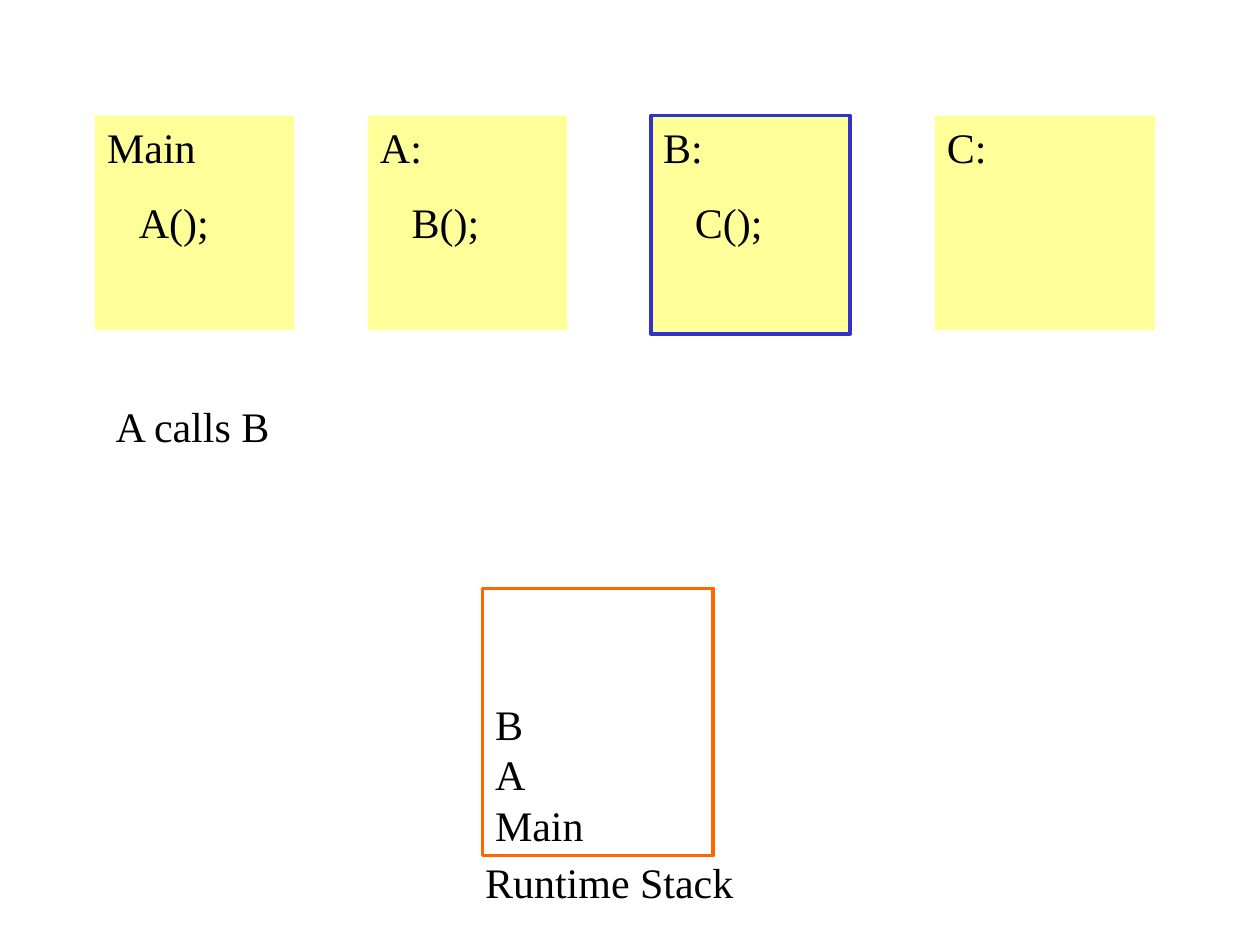
from pptx import Presentation
from pptx import util as u
from pptx.dml import color
from pptx.enum import shapes, text

COLORS = {
    "note": "FFFF99",
    "active": "3333CC",
    "stack": "FF6600",
    "ink": "000000",
}
FONT = "Times New Roman"
SIZE = u.Pt(24)
CALL_INDENT = u.Cm(0.64)
CALL_GAP = u.Pt(14)


def rgb(name):
    """Return the named palette colour."""
    return color.RGBColor.from_string(COLORS[name])


def write_lines(frame, lines):
    """Write one left-aligned paragraph per line and return the paragraphs."""
    for number, line in enumerate(lines):
        paragraph = frame.add_paragraph() if number else frame.paragraphs[0]
        paragraph.alignment = text.PP_ALIGN.LEFT
        run = paragraph.add_run()
        run.text = line
        run.font.name = FONT
        run.font.size = SIZE
        run.font.color.rgb = rgb("ink")
    return frame.paragraphs


def add_box(slide, box, fill=None, outline=None):
    """Add a flat rectangle with an optional fill and outline."""
    shape = slide.shapes.add_shape(shapes.MSO_SHAPE.RECTANGLE, *box)
    shape.shadow.inherit = False
    if fill:
        shape.fill.solid()
        shape.fill.fore_color.rgb = rgb(fill)
    else:
        shape.fill.background()
    if outline:
        shape.line.color.rgb = rgb(outline)
        shape.line.width = u.Pt(2)
    else:
        shape.line.fill.background()
    shape.text_frame.word_wrap = True
    return shape


def add_function(slide, box, name, call=None, active=False):
    """Draw a function card with its name and the call it makes."""
    shape = add_box(slide, box, "note", "active" if active else None)
    frame = shape.text_frame
    frame.vertical_anchor = text.MSO_ANCHOR.TOP
    paragraphs = write_lines(frame, [name, call] if call else [name])
    for paragraph in paragraphs[1:]:
        paragraph.space_before = CALL_GAP
        paragraph._p.get_or_add_pPr().set("marL", str(CALL_INDENT))


def add_label(slide, box, caption):
    """Place a single line of text that does not wrap."""
    frame = slide.shapes.add_textbox(*box).text_frame
    frame.word_wrap = False
    write_lines(frame, [caption])


def add_stack(slide, box, calls, caption):
    """Draw the stack, newest call on top, with its caption below."""
    left, top, width, height = box
    shape = add_box(slide, box, outline="stack")
    shape.text_frame.vertical_anchor = text.MSO_ANCHOR.BOTTOM
    write_lines(shape.text_frame, calls)
    caption_box = (left - u.Cm(0.2), top + height - u.Cm(0.1), u.Cm(5.51), u.Cm(1.27))
    add_label(slide, caption_box, caption)


def main():
    """Build the slide and save it."""
    presentation = Presentation()
    presentation.slide_width = u.Cm(25.4)
    presentation.slide_height = u.Cm(19.05)
    slide = presentation.slides.add_slide(presentation.slide_layouts[6])

    top = u.Cm(2.33)
    width, height = u.Cm(4.02), u.Cm(4.32)
    add_function(slide, (u.Cm(1.91), top, width, height), "Main", "A();")
    add_function(slide, (u.Cm(7.41), top, width, height), "A:", "B();")
    add_function(slide, (u.Cm(13.12), top, width, u.Cm(4.4)), "B:", "C();", active=True)
    add_function(slide, (u.Cm(18.84), top, u.Cm(4.45), height), "C:")

    add_label(slide, (u.Cm(2.08), u.Cm(7.95), u.Cm(3.66), u.Cm(1.27)), "A calls B")
    stack_box = (u.Cm(9.73), u.Cm(11.86), u.Cm(4.65), u.Cm(5.39))
    add_stack(slide, stack_box, ["B", "A", "Main"], "Runtime Stack")

    presentation.save("out.pptx")


if __name__ == "__main__":
    main()
